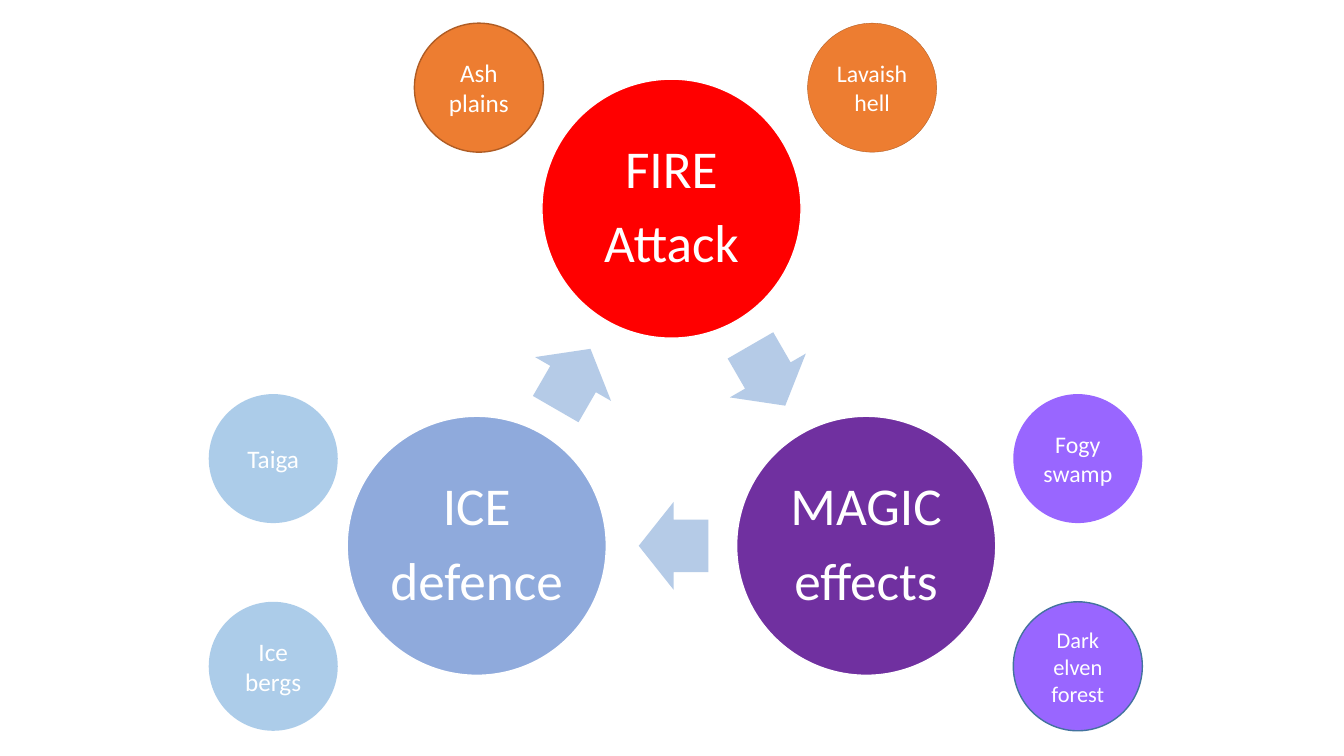
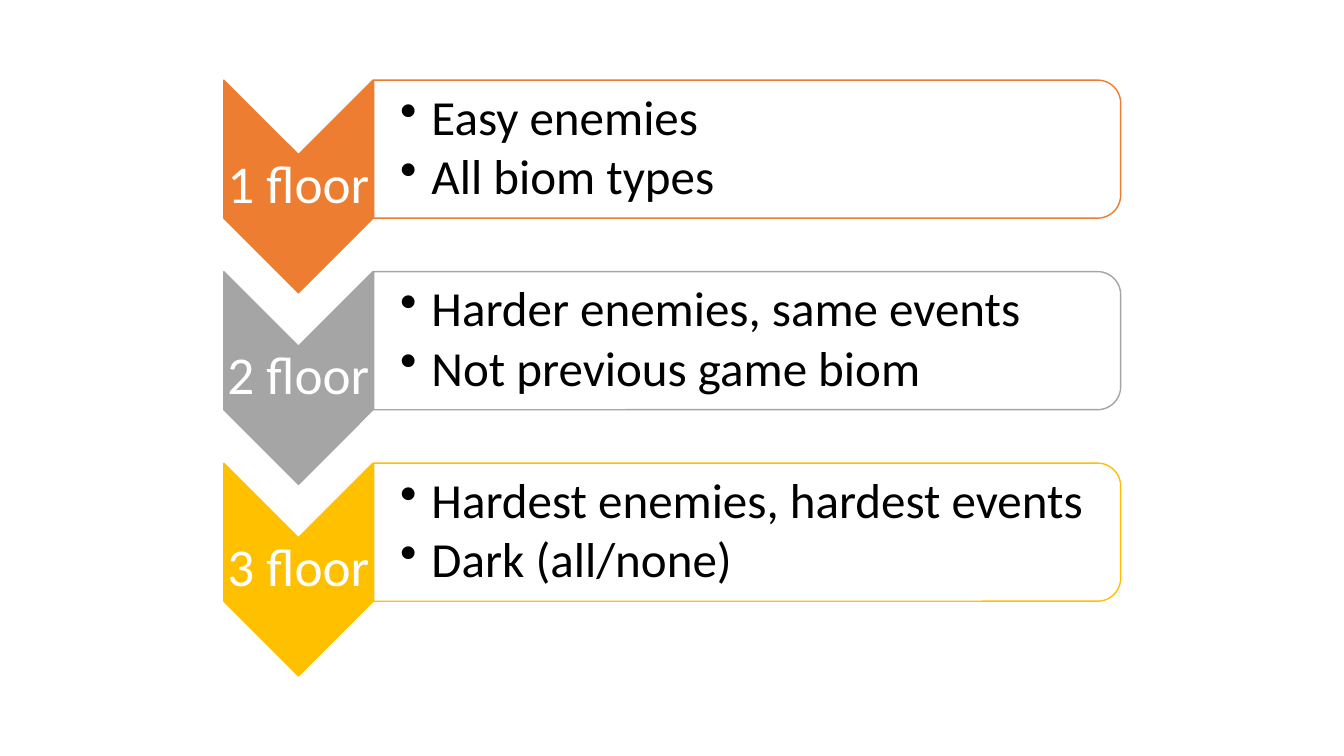
import dataclasses
import math

import pptx
import pptx.dml.color
import pptx.enum.shapes
import pptx.enum.text
import pptx.oxml.xmlchemy
import pptx.util
from pptx.util import Inches, Pt


@dataclasses.dataclass(frozen=True)
class Theme:
    font: str = "Calibri"
    white: str = "FFFFFF"
    black: str = "000000"
    fire: str = "FF0000"
    magic: str = "7030A0"
    ice: str = "8FAADC"
    arrow: str = "B5CBE7"
    orange: str = "ED7D31"
    brown: str = "AF5C24"
    sky: str = "5B9BD5"
    violet: str = "9966FF"
    teal: str = "43739E"
    grey: str = "A5A5A5"
    gold: str = "FFC000"
    heading_size: int = 38
    bullet_size: int = 35


theme = Theme()
SHAPE = pptx.enum.shapes.MSO_SHAPE
ALIGN = pptx.enum.text.PP_ALIGN


def draw(page, kind, center, size, fill, line=None, line_width=1, opacity=100, turn=0):
    """Add a preset shape around its center; opacity is in percent, turn in degrees."""
    (x, y), (width, height) = center, size
    shape = page.shapes.add_shape(
        kind, Inches(x - width / 2), Inches(y - height / 2), Inches(width), Inches(height))
    shape.rotation = turn
    shape.shadow.inherit = False
    shape.fill.solid()
    shape.fill.fore_color.rgb = pptx.dml.color.RGBColor.from_string(fill)
    if opacity < 100:
        color = shape.fill._xPr.find(".//" + pptx.oxml.ns.qn("a:srgbClr"))
        alpha = pptx.oxml.parse_xml(
            f'<a:alpha {pptx.oxml.ns.nsdecls("a")} val="{opacity * 1000}"/>')
        color.append(alpha)
    if line:
        shape.line.color.rgb = pptx.dml.color.RGBColor.from_string(line)
        shape.line.width = Pt(line_width)
    else:
        shape.line.fill.background()
    return shape


def write(frame, lines, size, color=theme.white, insets=(0.1, 0.05), spacing=None,
          after=0, bullets=False):
    """Fill a text frame, one paragraph a line; insets are left and all other sides."""
    frame.word_wrap = True
    frame.vertical_anchor = pptx.enum.text.MSO_ANCHOR.MIDDLE
    left, other = insets
    frame.margin_left = Inches(left)
    frame.margin_right = Inches(left if not bullets else other)
    frame.margin_top = frame.margin_bottom = Inches(other)
    for index, line in enumerate(lines):
        para = frame.paragraphs[0] if index == 0 else frame.add_paragraph()
        para.text = line
        para.alignment = ALIGN.LEFT if bullets else ALIGN.CENTER
        para.line_spacing = spacing
        para.space_after = Pt(after)
        para.font.name = theme.font
        para.font.size = Pt(size)
        para.font.color.rgb = pptx.dml.color.RGBColor.from_string(color)
        if bullets:
            properties = para._p.get_or_add_pPr()
            properties.set("marL", str(Inches(0.31)))
            properties.set("indent", str(Inches(-0.31)))
            bullet = pptx.oxml.parse_xml(
                f'<a:buChar {pptx.oxml.ns.nsdecls("a")} char="•"/>')
            properties.insert_element_before(bullet, "a:tabLst", "a:defRPr", "a:extLst")


deck = pptx.Presentation()
deck.slide_width, deck.slide_height = Inches(13.33), Inches(7.5)
blank = deck.slide_layouts[6]

# Slide 1: cycle of three elements with their biomes
page = deck.slides.add_slide(blank)
cycle_x, cycle_y, cycle_radius = 6.66, 4.3, 2.23
elements = [
    (["FIRE", "Attack"], theme.fire),
    (["MAGIC", "effects"], theme.magic),
    (["ICE", "defence"], theme.ice),
]
centers = []
for step in range(len(elements)):
    angle = math.radians(120 * step - 90)
    centers.append((cycle_x + cycle_radius * math.cos(angle),
                    cycle_y + cycle_radius * math.sin(angle)))

for step, (lines, fill) in enumerate(elements):
    x, y = centers[step]
    next_x, next_y = centers[(step + 1) % len(centers)]
    circle = draw(page, SHAPE.OVAL, (x, y), (2.57, 2.57), fill, theme.white)
    write(circle.text_frame, lines, theme.heading_size, insets=(0.05, 0.05),
          spacing=0.9, after=12)
    turn = 60 + 120 * step
    setback = 0.02
    middle = ((x + next_x) / 2 - setback * math.cos(math.radians(turn)),
              (y + next_y) / 2 - setback * math.sin(math.radians(turn)))
    arrow = draw(page, SHAPE.RIGHT_ARROW, middle, (0.69, 0.87), theme.arrow, turn=turn)
    arrow.adjustments[0], arrow.adjustments[1] = 0.6, 0.5

left_x, right_x, upper_y, lower_y = 2.71, 10.69, 4.55, 6.61
biomes = [
    (["Ash plains"], 18, (4.75, 0.87), theme.orange, theme.brown, 1, 100),
    (["Lavaish", "hell"], 17, (8.65, 0.87), theme.orange, theme.brown, 0.25, 100),
    (["Taiga"], 18, (left_x, upper_y), theme.sky, None, 0, 50),
    (["Ice bergs"], 18, (left_x, lower_y), theme.sky, None, 0, 50),
    (["Fogy", "swamp"], 17, (right_x, upper_y), theme.violet, None, 0, 100),
    (["Dark elven forest"], 16, (right_x, lower_y), theme.violet, theme.teal, 1, 100),
]
for lines, size, center, fill, line, line_width, opacity in biomes:
    circle = draw(page, SHAPE.OVAL, center, (1.28, 1.28), fill, line, line_width, opacity)
    write(circle.text_frame, lines, size)

# Slide 2: three floors, each a chevron and a panel of bullets
page = deck.slides.add_slide(blank)
floors = [
    ("1 floor", theme.orange, ["Easy enemies", "All biom types"]),
    ("2 floor", theme.grey, ["Harder enemies, same events", "Not previous game biom"]),
    ("3 floor", theme.gold, ["Hardest enemies, hardest events", "Dark (all/none)"]),
]
for row, (label, color, lines) in enumerate(floors):
    top = 0.79 + 1.9 * row
    draw(page, SHAPE.CHEVRON, (2.96, top + 1.06), (2.11, 1.48), color, color, turn=90)
    label_box = page.shapes.add_textbox(
        Inches(2.22), Inches(top + 0.74), Inches(1.48), Inches(0.63))
    write(label_box.text_frame, [label], theme.heading_size, insets=(0.03, 0.03),
          spacing=0.9, after=12)
    draw(page, SHAPE.ROUND_2_SAME_RECTANGLE, (7.41, top + 0.69), (1.37, 7.41),
         theme.white, color, opacity=90, turn=90)
    bullet_box = page.shapes.add_textbox(
        Inches(3.7), Inches(top + 0.07), Inches(7.34), Inches(1.24))
    write(bullet_box.text_frame, lines, theme.bullet_size, theme.black,
          insets=(0.27, 0.02), spacing=0.9, after=4.5, bullets=True)

deck.save("out.pptx")
